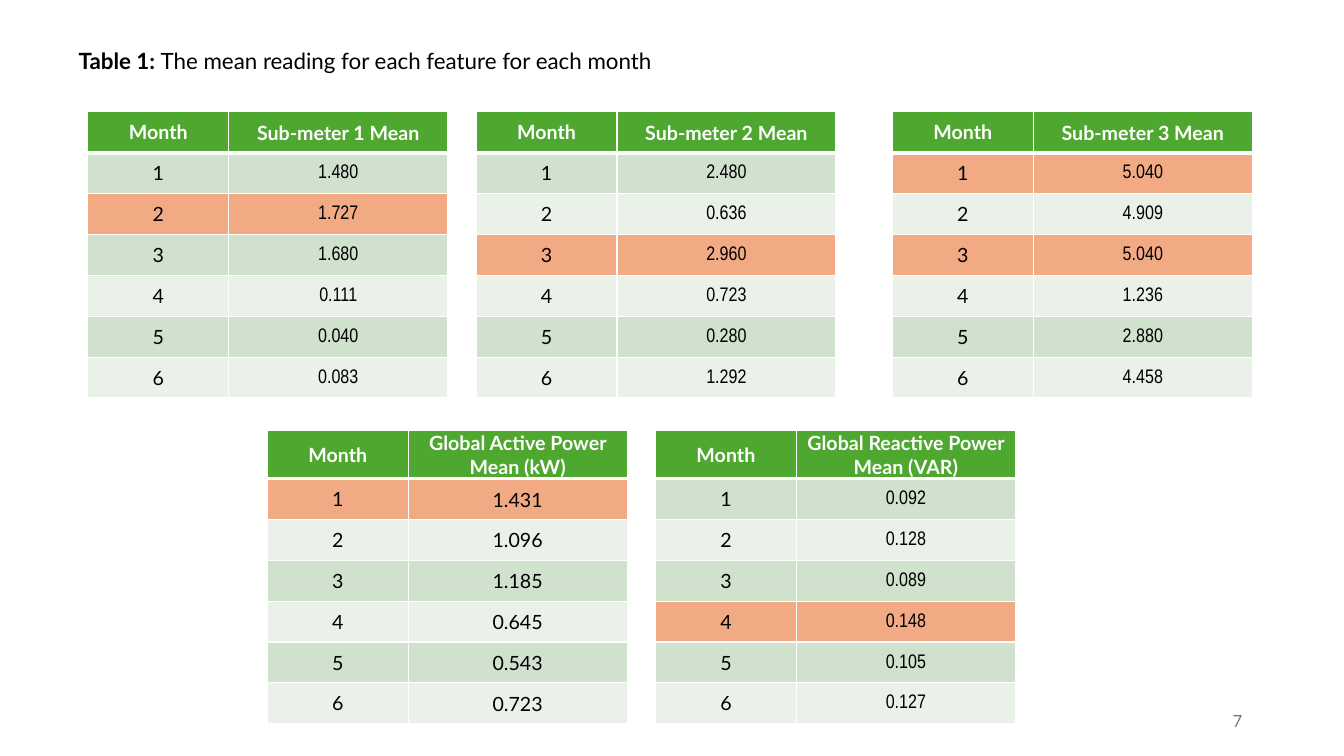
from dataclasses import dataclass

from lxml.etree import SubElement
from pptx import Presentation
from pptx.dml.color import RGBColor as RGB
from pptx.enum.text import MSO_ANCHOR as ANCHOR, PP_ALIGN as ALIGN
from pptx.oxml.ns import qn
from pptx.util import Inches, Pt


@dataclass(frozen=True)
class Theme:
    black: str = "000000"
    white: str = "FFFFFF"
    grey: str = "797979"
    header: str = "4EA72E"
    bands: tuple = ("D0E1CD", "E9F1E8")
    highlight: str = "F2AA84"
    font: str = "Lato"
    narrow: str = "Arial Narrow"
    title_size: int = 16
    table_size: int = 14
    number_size: int = 12


THEME = Theme()
COLUMNS = (1.4, 2.17)
ROW_HEIGHT = 2.84 / 7
TOP_ROW = dict(top=1.11, header_height=ROW_HEIGHT)
BOTTOM_ROW = dict(top=4.27, header_height=0.47)

TABLES = [
    (0.87, TOP_ROW, "Sub-meter 1 Mean", THEME.narrow, {2},
     ["1.480", "1.727", "1.680", "0.111", "0.040", "0.083"]),
    (4.72, TOP_ROW, "Sub-meter 2 Mean", THEME.narrow, {3},
     ["2.480", "0.636", "2.960", "0.723", "0.280", "1.292"]),
    (8.85, TOP_ROW, "Sub-meter 3 Mean", THEME.narrow, {1, 3},
     ["5.040", "4.909", "5.040", "1.236", "2.880", "4.458"]),
    (2.65, BOTTOM_ROW, "Global Active Power Mean (kW)", THEME.font, {1},
     ["1.431", "1.096", "1.185", "0.645", "0.543", "0.723"]),
    (6.5, BOTTOM_ROW, "Global Reactive Power Mean (VAR)", THEME.narrow, {4},
     ["0.092", "0.128", "0.089", "0.148", "0.105", "0.127"]),
]


def add_text(p, text, size, color=THEME.black, font=THEME.font, bold=False, align=None):
    if align is not None:
        p.alignment = align
    r = p.add_run()
    r.text = text
    r.font.size = Pt(size)
    r.font.name = font
    r.font.bold = bold
    r.font.color.rgb = RGB.from_string(color)


class SlideBuilder:
    def __init__(self, prs, theme):
        self.theme = theme
        self.slide = prs.slides.add_slide(prs.slide_layouts[5])

    def title(self, label, caption, box):
        sp = self.slide.shapes.title
        sp.left, sp.top, sp.width, sp.height = map(Inches, box)
        tf = sp.text_frame
        tf.word_wrap = True
        tf.vertical_anchor = ANCHOR.MIDDLE
        p = tf.paragraphs[0]
        p.line_spacing = 0.9
        size = self.theme.title_size
        add_text(p, f"{label} ", size, bold=True, align=ALIGN.LEFT)
        add_text(p, caption, size)

    def page_number(self, number, box):
        tf = self.slide.shapes.add_textbox(*map(Inches, box)).text_frame
        tf.word_wrap = True
        tf.vertical_anchor = ANCHOR.MIDDLE
        add_text(tf.paragraphs[0], number, self.theme.number_size,
                 color=self.theme.grey, align=ALIGN.RIGHT)

    def borders(self, cell, top, bottom):
        tc_pr = cell._tc.get_or_add_tcPr()
        for side, width in (("L", 1), ("R", 1), ("T", top), ("B", bottom)):
            line = SubElement(tc_pr, qn(f"a:ln{side}"), w=str(Pt(width)))
            fill = SubElement(line, qn("a:solidFill"))
            SubElement(fill, qn("a:srgbClr"), val=self.theme.white)

    def cell(self, cell, text, row, col, fill, font):
        self.borders(cell, top=3 if row == 1 else 1, bottom=3 if row == 0 else 1)
        cell.fill.solid()
        cell.fill.fore_color.rgb = RGB.from_string(fill)
        cell.vertical_anchor = ANCHOR.MIDDLE
        if col == 1:
            cell.margin_left = cell.margin_right = cell.margin_top = Inches(0.01)
            cell.margin_bottom = 0
        header = row == 0
        add_text(cell.text_frame.paragraphs[0], text, self.theme.table_size,
                 color=self.theme.white if header else self.theme.black,
                 font=self.theme.font if header or col == 0 else font,
                 bold=header, align=ALIGN.CENTER)

    def month_table(self, left, top, header_height, heading, font, peaks, means):
        rows = [("Month", heading)]
        rows += [(str(month), mean) for month, mean in enumerate(means, 1)]
        heights = [header_height] + [ROW_HEIGHT] * len(means)
        table = self.slide.shapes.add_table(
            len(rows), len(COLUMNS), Inches(left), Inches(top),
            Inches(sum(COLUMNS)), Inches(sum(heights))).table
        for column, width in zip(table.columns, COLUMNS):
            column.width = Inches(width)
        for i, (values, height) in enumerate(zip(rows, heights)):
            table.rows[i].height = Inches(height)
            if i == 0:
                fill = self.theme.header
            elif i in peaks:
                fill = self.theme.highlight
            else:
                fill = self.theme.bands[(i - 1) % 2]
            for j, text in enumerate(values):
                self.cell(table.cell(i, j), text, i, j, fill, font)


def main():
    prs = Presentation()
    prs.slide_width, prs.slide_height = Inches(13.33), Inches(7.5)
    s = SlideBuilder(prs, THEME)
    s.title("Table 1:", "The mean reading for each feature for each month",
            (0.68, 0.4, 11.55, 0.44))
    for left, placement, heading, font, peaks, means in TABLES:
        s.month_table(left, heading=heading, font=font, peaks=peaks,
                      means=means, **placement)
    s.page_number("7", (9.42, 6.95, 3, 0.4))
    prs.save("out.pptx")


if __name__ == "__main__":
    main()
